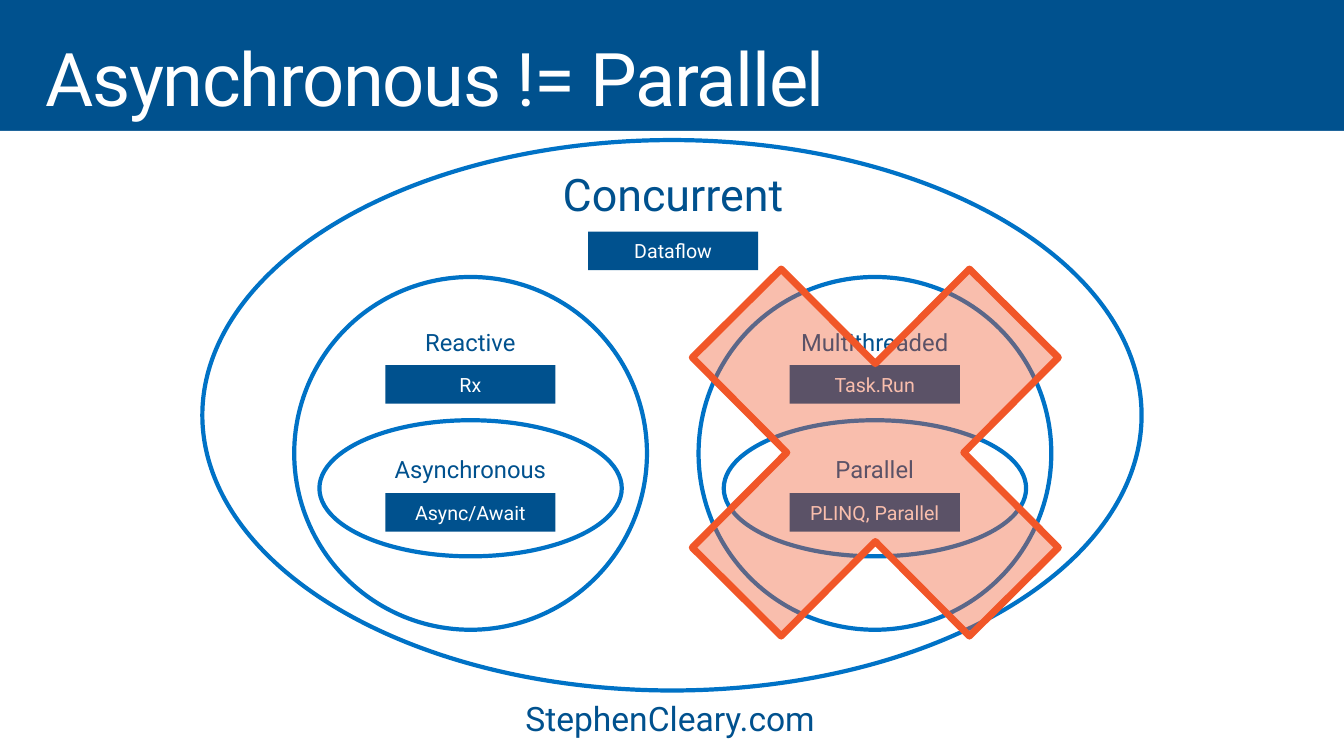
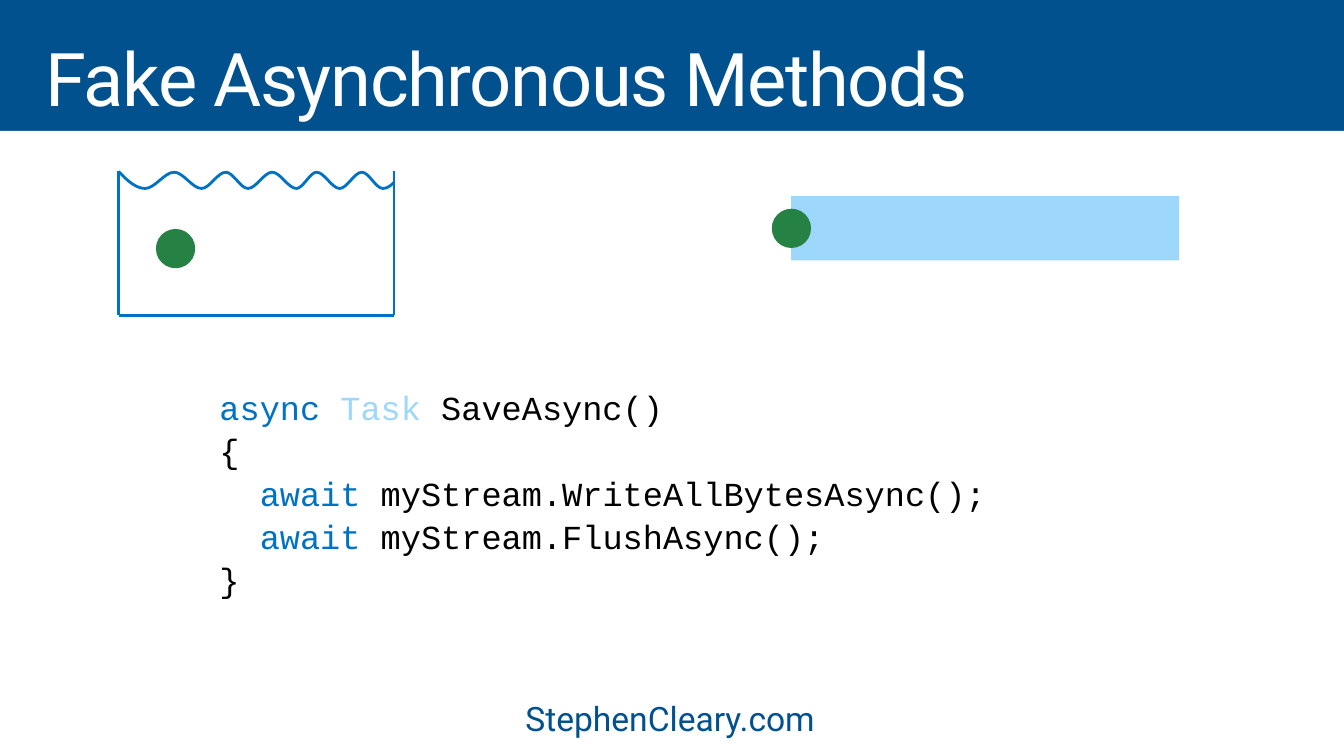
"""Build two slides on asynchronous and parallel code."""
from dataclasses import dataclass
from typing import Any, Optional

from lxml import etree
from pptx import Presentation
from pptx import util as u
from pptx.dml import color as dc
from pptx.enum import shapes, text
from pptx.oxml import ns

HUES = {"navy": "00518E", "blue": "0072C6", "sky": "9DD7FC", "green": "258244",
        "red": "F15628", "white": "FFFFFF", "black": "000000"}
SANS, MONO = "Roboto", "Courier New"
WIDE, HIGH = 33.87, 19.05
MID, LEFT, RIGHT = 16.97, 11.86, 22.05
KIND = shapes.MSO_SHAPE


@dataclass(frozen=True)
class Box:
    x: float
    y: float
    w: float
    h: float

    def emu(self) -> tuple:
        return tuple(u.Cm(v) for v in (self.x, self.y, self.w, self.h))


@dataclass(frozen=True)
class Word:
    words: str
    mid: float
    top: float
    size: float = 17


@dataclass(frozen=True)
class Knot:
    x: float
    y: float
    slope: float = 0


RINGS = [Box(5.1, 3.53, 23.67, 13.87)] + [
    Box(mid - w / 2, top, w, h)
    for mid in (LEFT, RIGHT)
    for top, w, h in ((6.98, 8.89, 8.89), (10.59, 7.62, 3.43))]
LABELS = [Word("Concurrent", MID, 4.3, 32),
          Word("Reactive", LEFT, 8.28), Word("Multithreaded", RIGHT, 8.28),
          Word("Asynchronous", LEFT, 11.5), Word("Parallel", RIGHT, 11.5)]
TAGS = [Word("Dataflow", MID, 5.84, 14),
        Word("Rx", LEFT, 9.2, 14), Word("Task.Run", RIGHT, 9.2, 14),
        Word("Async/Await", LEFT, 12.43, 14),
        Word("PLINQ, Parallel", RIGHT, 12.43, 14)]
CODE = [
    (0, [("async ", "blue"), ("Task ", "sky"), ("SaveAsync()", "black")]),
    (0, [("{", "black")]),
    (2, [("await ", "blue"), ("myStream.WriteAllBytesAsync();", "black")]),
    (2, [("await ", "blue"), ("myStream.FlushAsync();", "black")]),
    (0, [("}", "black")]),
]
TANK = Box(2.99, 4.32, 6.94, 3.63)
TURNS = (3.66, 4.39, 5.08, 5.69, 6.25, 6.86, 7.47, 7.98, 8.56, 9.12, 9.65)
WAVE = [Knot(2.99, 4.32, 1.1),
        *(Knot(x, 4.34 if i % 2 else 4.75) for i, x in enumerate(TURNS)),
        Knot(9.93, 4.6, -1)]


def rgb(hue: str) -> dc.RGBColor:
    return dc.RGBColor.from_string(HUES[hue])


def style(font: Any, size: float, hue: str, face: str = SANS) -> None:
    font.name, font.size = face, u.Pt(size)
    font.color.rgb = rgb(hue)


def frame(shape: Any, side: float, edge: float, wrap: bool = True) -> Any:
    box = shape.text_frame
    box.margin_left = box.margin_right = u.Cm(side)
    box.margin_top = box.margin_bottom = u.Cm(edge)
    box.word_wrap, box.auto_size = wrap, text.MSO_AUTO_SIZE.NONE
    box.vertical_anchor = text.MSO_ANCHOR.TOP
    return box


def place(shape: Any, box: Box) -> None:
    shape.left, shape.top, shape.width, shape.height = box.emu()


def paint(shape: Any, fill: Optional[str], line: Optional[str] = None,
          width: float = 3) -> None:
    shape.shadow.inherit = False
    if fill:
        shape.fill.solid()
        shape.fill.fore_color.rgb = rgb(fill)
    else:
        shape.fill.background()
    if line:
        shape.line.color.rgb, shape.line.width = rgb(line), u.Pt(width)
    else:
        shape.line.fill.background()


def draw(slide: Any, kind: Any, box: Box, fill: Optional[str],
         line: Optional[str] = None, width: float = 3) -> Any:
    shape = slide.shapes.add_shape(kind, *box.emu())
    paint(shape, fill, line, width)
    return shape


def label(slide: Any, word: Word) -> None:
    box = Box(word.mid - 3.14, word.top, 6.27, 1.6)
    par = frame(slide.shapes.add_textbox(*box.emu()), 0.25, 0.05).paragraphs[0]
    par.text, par.line_spacing = word.words, 0.9
    par.alignment = text.PP_ALIGN.CENTER
    style(par.runs[0].font, word.size, "navy")


def tag(slide: Any, word: Word) -> None:
    box = Box(word.mid - 2.15, word.top, 4.29, 0.97)
    body = frame(draw(slide, KIND.RECTANGLE, box, "navy"), 0, 0.13)
    body.vertical_anchor = text.MSO_ANCHOR.MIDDLE
    body.text = word.words
    body.paragraphs[0].alignment = text.PP_ALIGN.CENTER
    style(body.paragraphs[0].runs[0].font, word.size, "white")


def edge(slide: Any, x1: float, y1: float, x2: float, y2: float) -> None:
    line = slide.shapes.add_connector(
        shapes.MSO_CONNECTOR.STRAIGHT, *(u.Cm(v) for v in (x1, y1, x2, y2)))
    line.line.color.rgb, line.line.width = rgb("blue"), u.Pt(2)
    etree.SubElement(line.element.spPr, ns.qn("a:effectLst"))


def bend(shape: Any) -> None:
    legs = list(shape.element.iter(ns.qn("a:lnTo")))
    for leg, a, b in zip(legs, WAVE, WAVE[1:]):
        third = (b.x - a.x) / 3
        grips = ((a.x + third, a.y + a.slope * third),
                 (b.x - third, b.y - b.slope * third))
        leg.tag = ns.qn("a:cubicBezTo")
        for i, (x, y) in enumerate(grips):
            dot = etree.SubElement(leg, ns.qn("a:pt"))
            dot.set("x", str(u.Cm(x) - shape.left))
            dot.set("y", str(u.Cm(y) - shape.top))
            leg.insert(i, dot)


def tank(slide: Any) -> None:
    x, y, end, base = TANK.x, TANK.y, TANK.x + TANK.w, TANK.y + TANK.h
    edge(slide, x, y, x, base)
    edge(slide, end, y, end, base)
    edge(slide, end, base, x, base)
    first, *rest = [(u.Cm(k.x), u.Cm(k.y)) for k in WAVE]
    pen = slide.shapes.build_freeform(*first)
    pen.add_line_segments(rest, close=False)
    wave = pen.convert_to_shape()
    paint(wave, None, "blue", 2)
    bend(wave)


def brand(deck: Any, slide: Any) -> None:
    master = deck.slide_master
    master.background.fill.solid()
    master.background.fill.fore_color.rgb = rgb("navy")
    panel = draw(slide, KIND.RECTANGLE, Box(0, 3.3, WIDE, HIGH - 3.3), "white")
    foot = slide.shapes.add_textbox(*Box(12.73, 17.3, 8.41, 1.75).emu())
    par = frame(foot, 0.51, 0.41, False).paragraphs[0]
    par.text, par.line_spacing, par.space_after = "StephenCleary.com", 0.9, u.Pt(6)
    style(par.runs[0].font, 24, "navy")
    for i, shape in enumerate((panel, foot)):
        shape.element.xpath(".//p:cNvPr")[0].set("id", str(50 + i))
        master.shapes.element.insert(2 + i, shape.element)


def start(deck: Any, kind: int, words: str) -> Any:
    slide = deck.slides.add_slide(deck.slide_layouts[kind])
    title = slide.shapes.title
    place(title, Box(0.74, 0.81, 32.39, 2.49))
    par = frame(title, 0.41, 0.25).paragraphs[0]
    par.text, par.line_spacing = words, 0.9
    par.alignment = text.PP_ALIGN.LEFT
    style(par.runs[0].font, 52.9, "white")
    for props in title.element.iter(ns.qn("a:rPr")):
        props.set("spc", "-100")
    return slide


def code(shape: Any) -> None:
    place(shape, Box(5.12, 9.61, 25.15, 5.94))
    body = frame(shape, 0.41, 0.25)
    for i, (_, parts) in enumerate(CODE):
        par = body.add_paragraph() if i else body.paragraphs[0]
        par.line_spacing = 0.9
        for words, hue in parts:
            run = par.add_run()
            run.text = words
            style(run.font, 24, hue, MONO)
    for (chars, _), props in zip(CODE, shape.element.iter(ns.qn("a:pPr"))):
        props.set("marL", str(u.Pt(14.4 * chars)))
        props.set("indent", "0")
        etree.SubElement(props, ns.qn("a:buNone"))


def rings(deck: Any) -> Any:
    slide = start(deck, 5, "Asynchronous != Parallel")
    for box in RINGS:
        draw(slide, KIND.OVAL, box, None, "blue")
    for word in LABELS:
        label(slide, word)
    for word in TAGS:
        tag(slide, word)
    cross = draw(slide, KIND.MATH_MULTIPLY, Box(15.34, 4.65, 13.44, 13.51),
                 "red", "red", 5)
    tint = next(cross.element.iter(ns.qn("a:srgbClr")))
    etree.SubElement(tint, ns.qn("a:alpha")).set("val", "38000")
    return slide


def fake(deck: Any) -> None:
    slide = start(deck, 1, "Fake Asynchronous Methods")
    code(slide.placeholders[1])
    draw(slide, KIND.RECTANGLE, Box(19.94, 4.94, 9.78, 1.62), "sky")
    tank(slide)
    for x, y in ((3.93, 5.77), (19.45, 5.26)):
        draw(slide, KIND.OVAL, Box(x, y, 0.99, 0.99), "green")


def main() -> None:
    deck = Presentation()
    deck.slide_width, deck.slide_height = u.Cm(WIDE), u.Cm(HIGH)
    brand(deck, rings(deck))
    fake(deck)
    deck.save("out.pptx")


if __name__ == "__main__":
    main()
